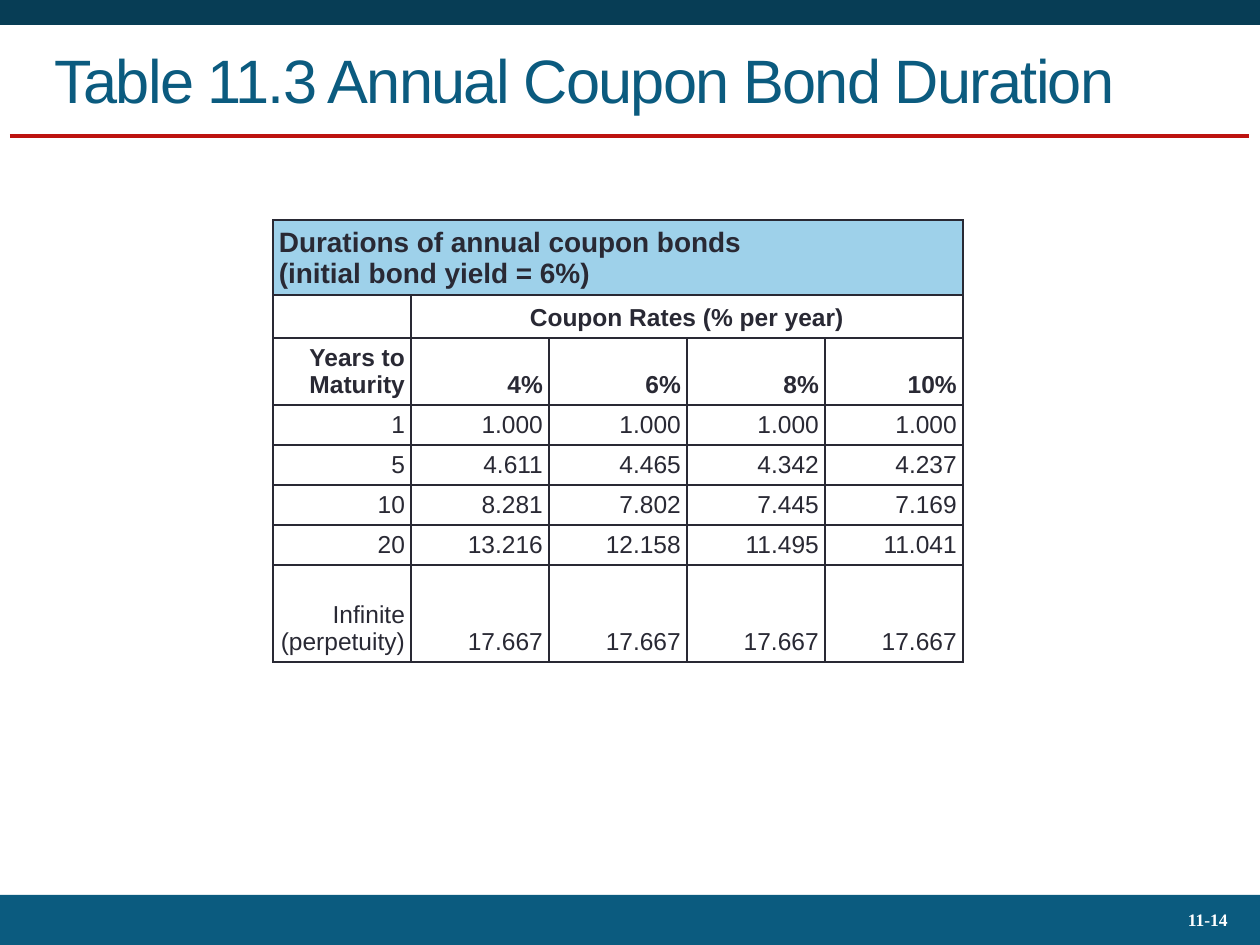
from lxml.etree import SubElement
from pptx import Presentation
from pptx.dml.color import RGBColor
from pptx.enum.shapes import MSO_CONNECTOR, MSO_SHAPE
from pptx.enum.text import MSO_ANCHOR, MSO_AUTO_SIZE, PP_ALIGN
from pptx.oxml.ns import qn
from pptx.util import Emu, Pt

# Content
TITLE = "Table 11.3 Annual Coupon Bond Duration"
PAGE_NUMBER = "11-14"
CAPTION = "Durations of annual coupon bonds\n(initial bond yield = 6%)"
RATES_HEADING = "Coupon Rates (% per year)"
HEADINGS = ["Years to Maturity", "4%", "6%", "8%", "10%"]
DURATIONS = [
    ["1", "1.000", "1.000", "1.000", "1.000"],
    ["5", "4.611", "4.465", "4.342", "4.237"],
    ["10", "8.281", "7.802", "7.445", "7.169"],
    ["20", "13.216", "12.158", "11.495", "11.041"],
    ["Infinite (perpetuity)", "17.667", "17.667", "17.667", "17.667"],
]

# Look and measures, in px
COLORS = {"top": "073D55", "blue": "0B5B7F", "rule": "BD130F",
          "ink": "292934", "caption": "9ED1EA", "white": "FFFFFF"}
PX = 914400 // 126
COLUMN_WIDTH = 138
ROW_HEIGHTS = [75, 43, 67, 40, 40, 40, 40, 97]
TABLE_LEFT, TABLE_TOP = 273, 220
CELL_INSET = 6


def px(*lengths):
    return [Emu(length * PX) for length in lengths]


def color(name):
    return RGBColor.from_string(COLORS[name])


def write(frame, text, align, ink, line_spacing=None, **font_format):
    frame.word_wrap = True
    frame.auto_size = MSO_AUTO_SIZE.NONE
    for number, line in enumerate(text.split("\n")):
        para = frame.paragraphs[0] if number == 0 else frame.add_paragraph()
        para.alignment = align
        para.line_spacing = line_spacing
        span = para.add_run()
        span.text = line
        span.font.color.rgb = color(ink)
        for name, value in font_format.items():
            setattr(span.font, name, value)


def add_band(page, top, height, fill):
    band = page.shapes.add_shape(MSO_SHAPE.RECTANGLE, *px(0, top, 1260, height))
    band.shadow.inherit = False
    band.fill.solid()
    band.fill.fore_color.rgb = color(fill)
    band.line.fill.background()


def style_cell(cell, fill):
    cell.vertical_anchor = MSO_ANCHOR.BOTTOM
    for side in ("left", "right", "top", "bottom"):
        setattr(cell, f"margin_{side}", Emu(CELL_INSET * PX))
    properties = cell._tc.get_or_add_tcPr()
    for tag in ("a:lnL", "a:lnR", "a:lnT", "a:lnB"):
        border = SubElement(properties, qn(tag), w=str(Pt(1)))
        solid = SubElement(border, qn("a:solidFill"))
        SubElement(solid, qn("a:srgbClr"), val=COLORS["ink"])
    cell.fill.solid()
    cell.fill.fore_color.rgb = color(fill)


def fill_cell(cell, text, align=PP_ALIGN.RIGHT, size=14, bold=False):
    write_to = cell.text_frame
    para_format = {"name": "Arial", "size": Pt(size), "bold": bold}
    for number, line in enumerate(text.split("\n")):
        para = write_to.paragraphs[0] if number == 0 else write_to.add_paragraph()
        para.alignment = align
        span = para.add_run()
        span.text = line
        span.font.color.rgb = color("ink")
        for name, value in para_format.items():
            setattr(span.font, name, value)


def add_duration_table(page):
    columns, rows = len(HEADINGS), len(ROW_HEIGHTS)
    place = px(TABLE_LEFT, TABLE_TOP, COLUMN_WIDTH * columns, sum(ROW_HEIGHTS))
    table = page.shapes.add_table(rows, columns, *place).table
    for column in table.columns:
        column.width = Emu(COLUMN_WIDTH * PX)
    for row, height in zip(table.rows, ROW_HEIGHTS):
        row.height = Emu(height * PX)
    for row in range(rows):
        for column in range(columns):
            style_cell(table.cell(row, column), "white" if row else "caption")

    # Caption and heading rows span several columns
    table.cell(0, 0).merge(table.cell(0, columns - 1))
    table.cell(1, 1).merge(table.cell(1, columns - 1))
    fill_cell(table.cell(0, 0), CAPTION, PP_ALIGN.LEFT, 16, True)
    fill_cell(table.cell(1, 1), RATES_HEADING, PP_ALIGN.CENTER, bold=True)
    corner = table.cell(1, 0).text_frame.paragraphs[0]
    corner._p.get_or_add_endParaRPr().set("sz", "1400")

    for row, texts in enumerate([HEADINGS] + DURATIONS, start=2):
        for column, text in enumerate(texts):
            fill_cell(table.cell(row, column), text, bold=row == 2)


def main():
    deck = Presentation()
    deck.slide_width, deck.slide_height = px(1260, 945)
    page = deck.slides.add_slide(deck.slide_layouts[5])

    # Bands and rule
    add_band(page, 0, 25, "top")
    add_band(page, 895, 50, "blue")
    rule = page.shapes.add_connector(MSO_CONNECTOR.STRAIGHT, *px(10, 136, 1249, 136))
    rule.line.color.rgb = color("rule")
    rule.line.width = Pt(2.25)
    SubElement(rule._element.spPr, qn("a:effectLst"))

    # Title
    title = page.shapes.title
    title.left, title.top, title.width, title.height = px(42, 22, 1178, 115)
    title.text_frame.vertical_anchor = MSO_ANCHOR.MIDDLE
    write(title.text_frame, TITLE, PP_ALIGN.LEFT, "blue",
          name="Arial", size=Pt(35), bold=False)
    span = title.text_frame.paragraphs[0].runs[0]
    span.font._element.set("spc", "-100")

    # Page number
    box = page.shapes.add_textbox(*px(1092, 898, 148, 45))
    box.text_frame.vertical_anchor = MSO_ANCHOR.MIDDLE
    write(box.text_frame, PAGE_NUMBER, PP_ALIGN.RIGHT, "white", 0.93,
          name="Times New Roman", size=Pt(10), bold=True)

    add_duration_table(page)
    deck.save("out.pptx")


if __name__ == "__main__":
    main()
